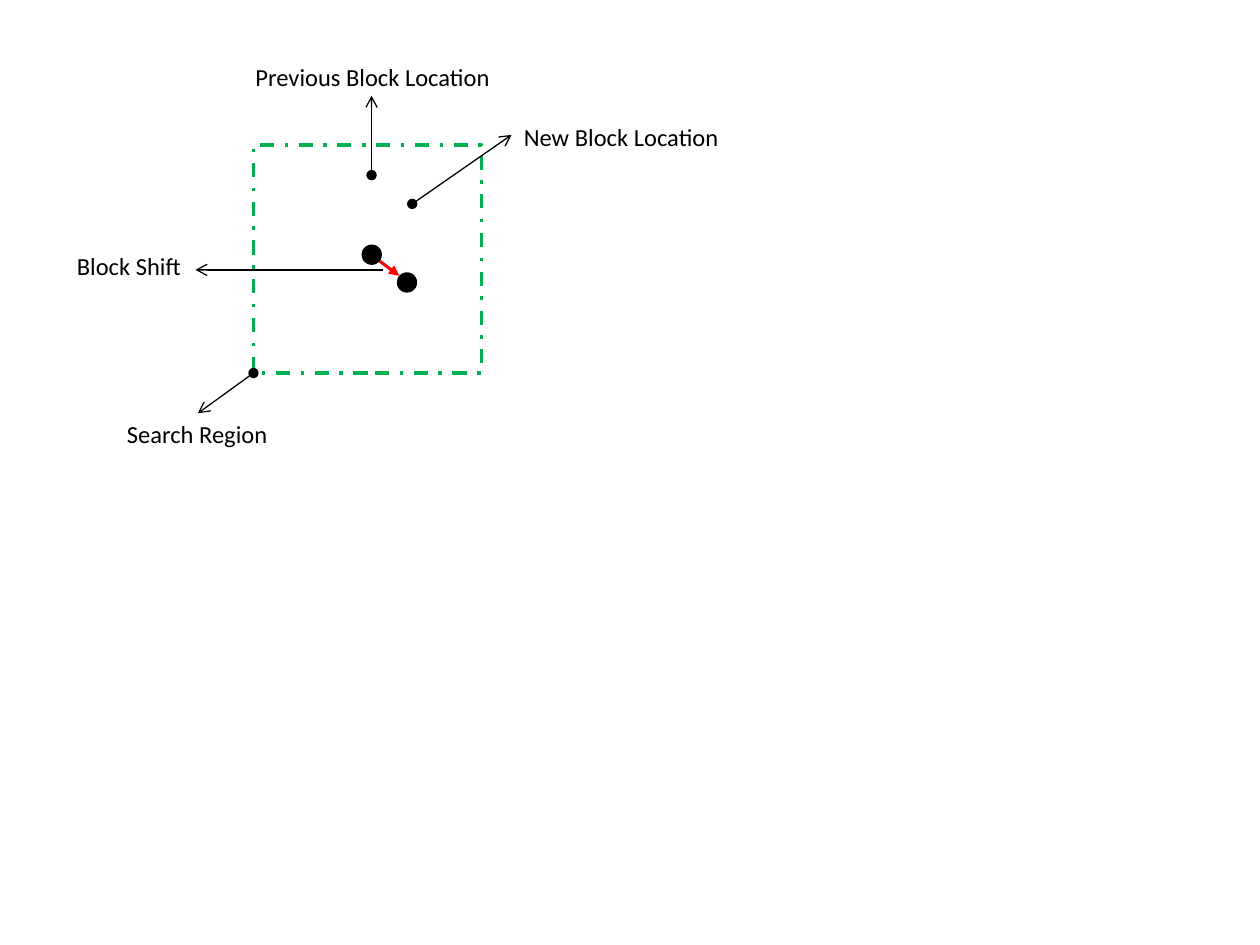
"""Draw a block matching diagram: search region, block shift and labels."""
from dataclasses import dataclass

from lxml import etree
from pptx import Presentation
from pptx import util as u
from pptx.dml.color import RGBColor
from pptx.enum import dml, shapes, text
from pptx.oxml.ns import qn


@dataclass(frozen=True)
class Theme:
    ink: RGBColor = RGBColor(0, 0, 0)
    shift: RGBColor = RGBColor(0xFF, 0, 0)
    edge: RGBColor = RGBColor(0, 0xB0, 0x50)
    font: str = "Calibri"
    size: float = 14
    thin: float = 0.75
    bold: float = 1.75
    frame: float = 2


THEME = Theme()
DOT = 0.41
LEFT, TOP, SIDE = 5.11, 2.92, 4.6
DOTS = [(8, 5.49), (7.29, 4.93)]
LEADS = [
    ((7.49, 3.53), (7.49, 1.93), "oval"),
    ((8.31, 4.11), (10.31, 2.72), "oval"),
    ((7.72, 5.44), (3.94, 5.44), None),
    ((LEFT, TOP + SIDE), (3.99, 8.33), "oval"),
]
LABELS = [
    ("Previous Block Location", 4.9, 1.12, 5.28),
    ("New Block Location", 10.31, 2.34, 4.47),
    ("Block Shift", 1.3, 4.93, 2.64),
    ("Search Region", 2.31, 8.33, 3.38),
]


def apply(item, style):
    for name, value in style.items():
        setattr(item, name, value)


def add_dot(group, left, top):
    dot = group.shapes.add_shape(
        shapes.MSO_SHAPE.OVAL, u.Cm(left), u.Cm(top), u.Cm(DOT), u.Cm(DOT))
    dot.shadow.inherit = False
    dot.fill.solid()
    dot.fill.fore_color.rgb = THEME.ink
    dot.line.fill.background()


def add_frame(group):
    frame = group.shapes.add_shape(
        shapes.MSO_SHAPE.RECTANGLE,
        u.Cm(LEFT), u.Cm(TOP), u.Cm(SIDE), u.Cm(SIDE))
    frame.shadow.inherit = False
    frame.fill.background()
    frame.line.color.rgb = THEME.edge
    apply(frame.line, {"width": u.Pt(THEME.frame),
                       "dash_style": dml.MSO_LINE.DASH_DOT})


def add_arrow(group, start, end, color, width, head=None, tail="arrow"):
    arrow = group.shapes.add_connector(
        shapes.MSO_CONNECTOR.STRAIGHT, *map(u.Cm, start + end))
    arrow.line.color.rgb = color
    arrow.line.width = u.Pt(width)
    props = arrow.line._get_or_add_ln()
    for tag, kind in (("a:headEnd", head), ("a:tailEnd", tail)):
        if kind:
            etree.SubElement(props, qn(tag), type=kind)
    etree.SubElement(props.getparent(), qn("a:effectLst"))


def add_label(group, words, left, top, width):
    box = group.shapes.add_textbox(
        u.Cm(left), u.Cm(top), u.Cm(width), u.Cm(0.86))
    frame = box.text_frame
    apply(frame, {"text": words, "word_wrap": False,
                  "auto_size": text.MSO_AUTO_SIZE.SHAPE_TO_FIT_TEXT})
    font = frame.paragraphs[0].runs[0].font
    apply(font, {"name": THEME.font, "size": u.Pt(THEME.size)})
    font.color.rgb = THEME.ink


def main():
    deck = Presentation()
    apply(deck, {"slide_width": u.Cm(25.4), "slide_height": u.Cm(19.05)})
    slide = deck.slides.add_slide(deck.slide_layouts[6])
    group = slide.shapes.add_group_shape()
    for place in DOTS:
        add_dot(group, *place)
    add_arrow(group, (7.65, 5.26), (8.05, 5.56),
              THEME.shift, THEME.bold, tail="triangle")
    add_frame(group)
    for start, end, head in LEADS:
        add_arrow(group, start, end, THEME.ink, THEME.thin, head)
    for label in LABELS:
        add_label(group, *label)
    deck.save("out.pptx")


if __name__ == "__main__":
    main()
